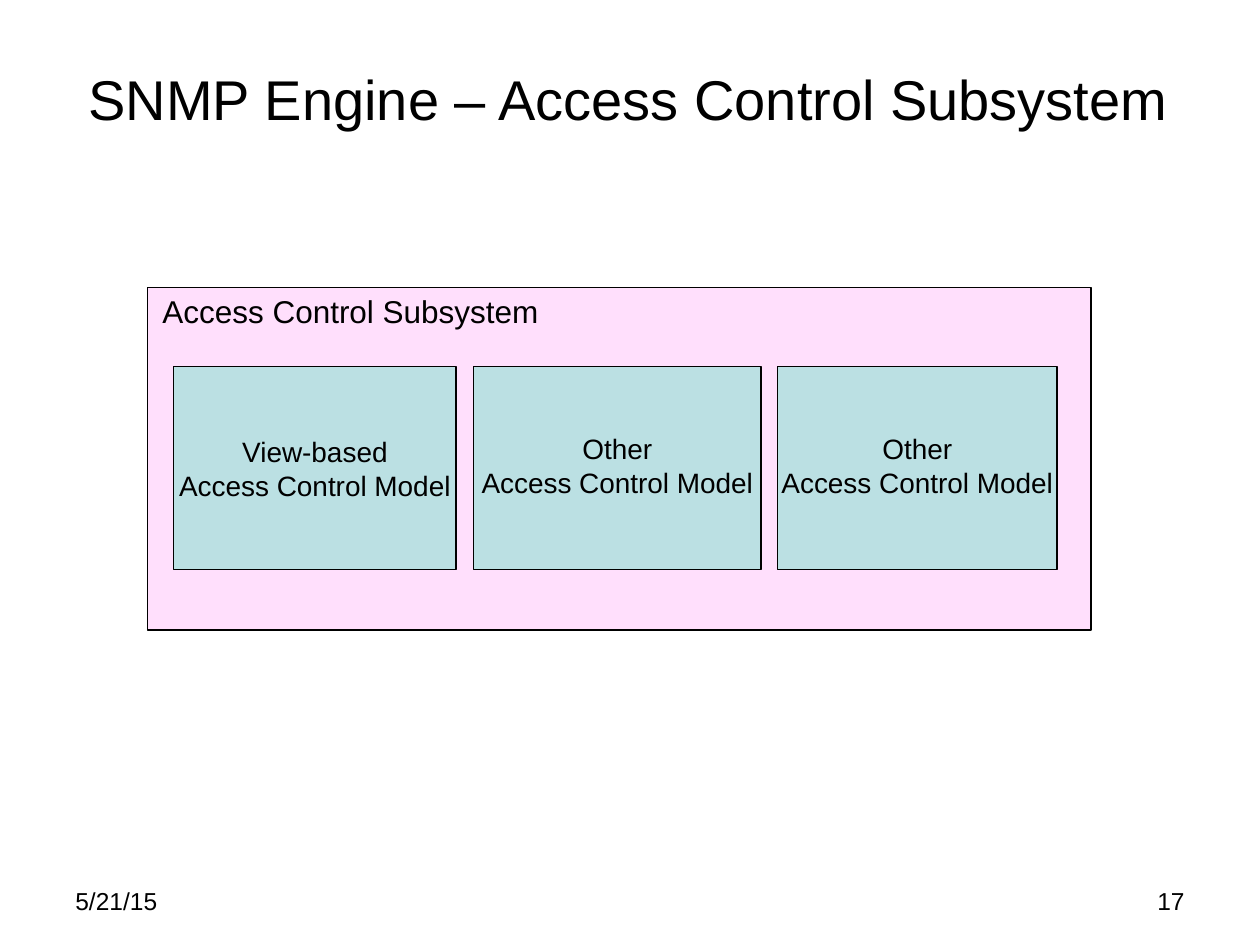
from pptx import Presentation
from pptx.dml.color import RGBColor
from pptx.enum.shapes import MSO_SHAPE
from pptx.enum.text import MSO_ANCHOR, PP_ALIGN
from pptx.util import Inches, Pt

COLORS = {"text": "000000", "line": "000000", "subsystem": "FFDFFC", "model": "BBE0E3"}
MODELS = [
    {"name": "View-based", "left": 0.21, "width": 2.24, "bottom": 0.05},
    {"name": "Other", "left": 2.59, "width": 2.28, "bottom": 0.09},
    {"name": "Other", "left": 5.0, "width": 2.22, "bottom": 0.09},
]


def write_text(shape, lines, size, align=PP_ALIGN.LEFT, **frame_format):
    frame = shape.text_frame
    for name, value in frame_format.items():
        setattr(frame, name, value)
    for index, line in enumerate(lines):
        para = frame.paragraphs[0] if index == 0 else frame.add_paragraph()
        para.alignment = align
        span = para.add_run()
        span.text = line
        for name, value in {"name": "Arial", "size": Pt(size)}.items():
            setattr(span.font, name, value)
        span.font.color.rgb = RGBColor.from_string(COLORS["text"])


def add_text(page, box, text, size, **text_format):
    text_box = page.shapes.add_textbox(*map(Inches, box))
    write_text(text_box, [text], size, **{"word_wrap": True, **text_format})


def add_panel(page, box, color):
    panel = page.shapes.add_shape(MSO_SHAPE.RECTANGLE, *map(Inches, box))
    panel.shadow.inherit = False
    panel.fill.solid()
    panel.fill.fore_color.rgb = RGBColor.from_string(COLORS[color])
    panel.line.color.rgb = RGBColor.from_string(COLORS["line"])
    panel.line.width = Pt(0.75)
    return panel


def add_title(page, box):
    add_text(page, box, "SNMP Engine – Access Control Subsystem", 32,
             align=PP_ALIGN.CENTER, vertical_anchor=MSO_ANCHOR.MIDDLE)


def add_subsystem(page, box):
    left, top, width, height = box
    add_panel(page, box, "subsystem")
    add_text(page, (left + 0.02, top - 0.01, 3.19, 0.4),
             "Access Control Subsystem", 18, word_wrap=False)
    for model in MODELS:
        panel = add_panel(
            page, (left + model["left"], top + 0.63, model["width"], 1.61), "model")
        write_text(panel, [model["name"], "Access Control Model"], 16, PP_ALIGN.CENTER,
                   vertical_anchor=MSO_ANCHOR.MIDDLE, word_wrap=False,
                   margin_bottom=Inches(model["bottom"]))


def add_footer(page, box):
    left, top, width, height = box
    part = 2.33
    add_text(page, (left, top, part, height), "5/21/15", 14)
    add_text(page, (left + width - part, top, part, height), "17", 14,
             align=PP_ALIGN.RIGHT)


def main():
    deck = Presentation()
    deck.slide_width = Inches(10)
    deck.slide_height = Inches(7.5)
    page = deck.slides.add_slide(deck.slide_layouts[6])
    add_title(page, (0.49, 0.15, 9, 1.25))
    add_subsystem(page, (1.17, 2.28, 7.49, 2.72))
    add_footer(page, (0.5, 6.98, 9, 0.52))
    deck.save("out.pptx")


if __name__ == "__main__":
    main()
